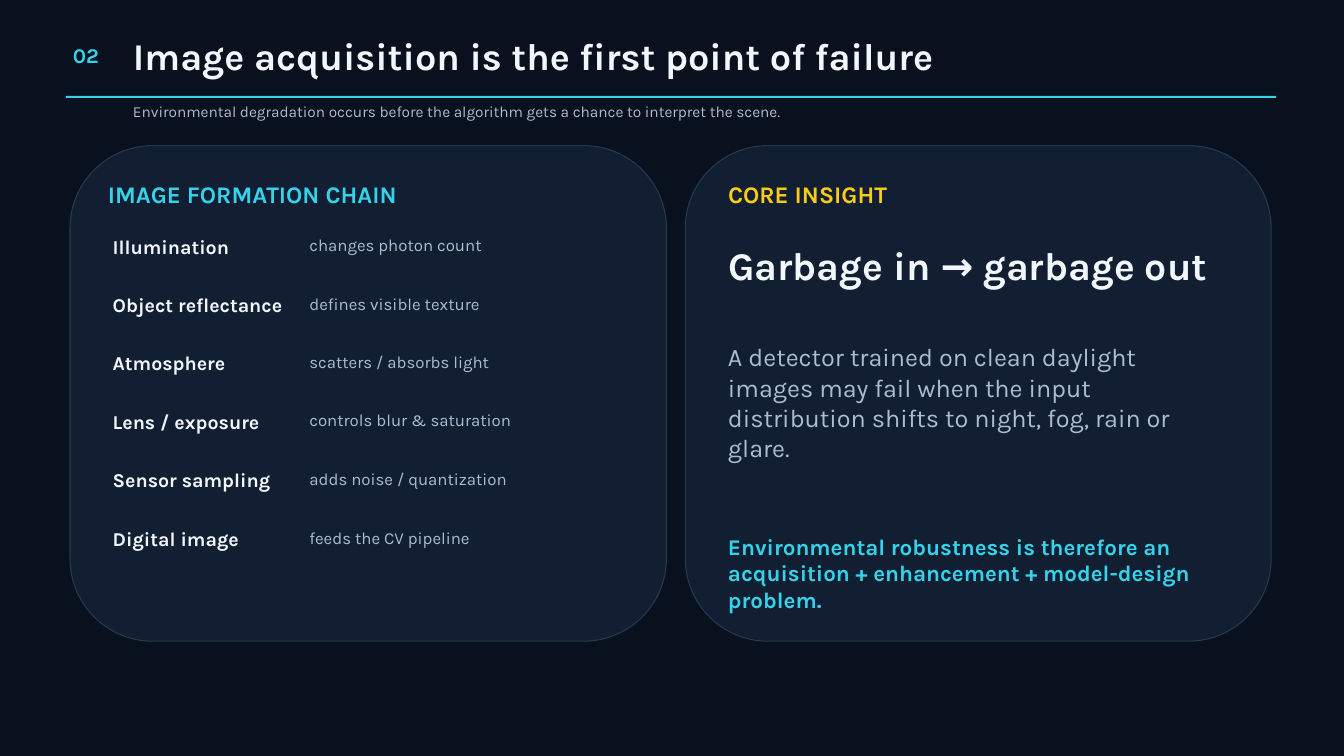
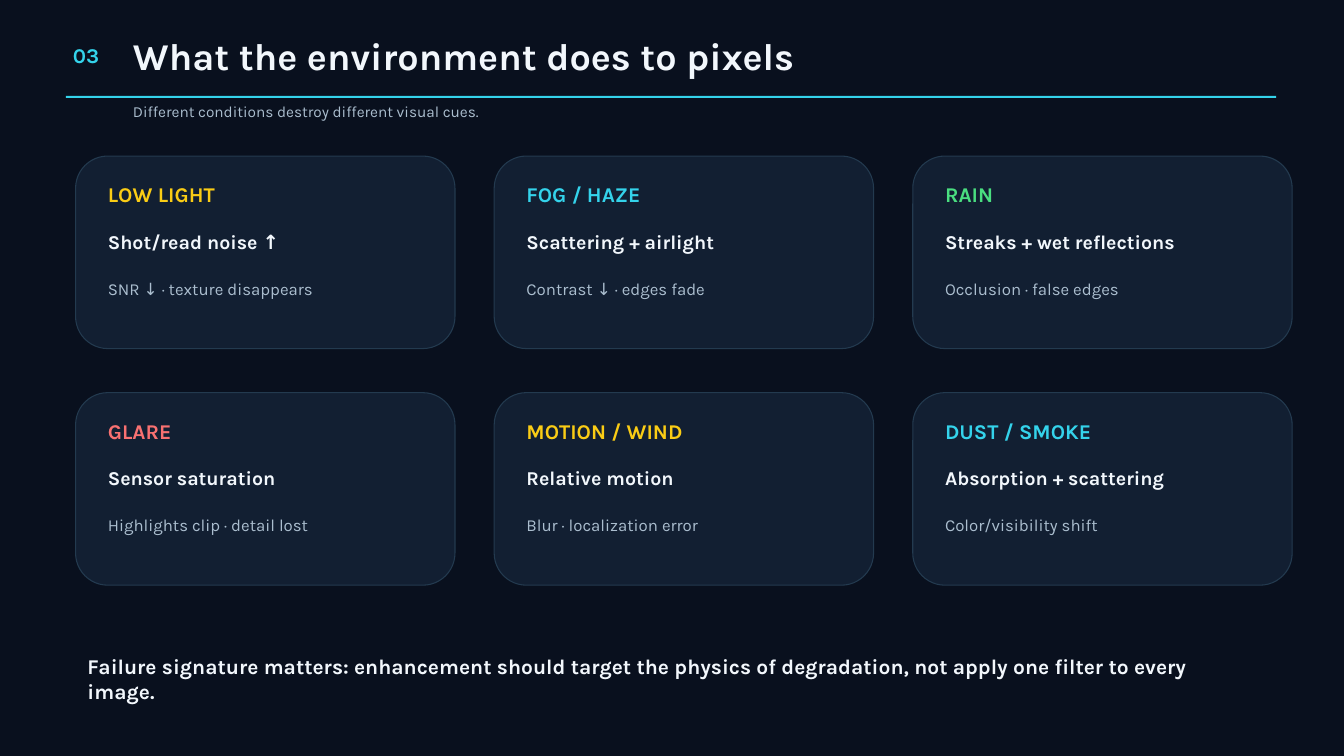
from pptx import Presentation
from pptx.dml.color import RGBColor
from pptx.enum.shapes import MSO_SHAPE
from pptx.enum.text import MSO_ANCHOR, MSO_AUTO_SIZE, PP_ALIGN
from pptx.util import Emu, Pt

EMU_PER_PX = 9525
TITLE_ONLY = 5
FONT = "Karla"
LINE_SPACING = 1.2

NIGHT, PANEL, EDGE = "09101E", "121F32", "233A4F"
WHITE, GREY, CYAN = "F2F7FC", "ABBECF", "34D3EB"
YELLOW, GREEN, RED = "FACC15", "4ADE80", "F87171"

FRAME_FORMAT = {
    "margin_left": 0, "margin_top": 0, "margin_right": 0, "margin_bottom": 0,
    "word_wrap": True,
    "vertical_anchor": MSO_ANCHOR.TOP,
    "auto_size": MSO_AUTO_SIZE.SHAPE_TO_FIT_TEXT,
}

FORMATION_CHAIN = [
    ("Illumination", "changes photon count"),
    ("Object reflectance", "defines visible texture"),
    ("Atmosphere", "scatters / absorbs light"),
    ("Lens / exposure", "controls blur & saturation"),
    ("Sensor sampling", "adds noise / quantization"),
    ("Digital image", "feeds the CV pipeline"),
]

CONDITIONS = [
    ("LOW LIGHT", YELLOW, "Shot/read noise ↑", "SNR ↓ · texture disappears"),
    ("FOG / HAZE", CYAN, "Scattering + airlight", "Contrast ↓ · edges fade"),
    ("RAIN", GREEN, "Streaks + wet reflections", "Occlusion · false edges"),
    ("GLARE", RED, "Sensor saturation", "Highlights clip · detail lost"),
    ("MOTION / WIND", YELLOW, "Relative motion", "Blur · localization error"),
    ("DUST / SMOKE", CYAN, "Absorption + scattering", "Color/visibility shift"),
]


def px(length):
    return Emu(length * EMU_PER_PX)


def rgb(color):
    return RGBColor.from_string(color)


def set_attributes(target, values):
    for name, value in values.items():
        setattr(target, name, value)


class Deck:
    """Holds the shared style and the slide being built."""

    def __init__(self):
        self.presentation = Presentation()
        self.presentation.slide_width = px(1920)
        self.presentation.slide_height = px(1080)
        background = self.presentation.slide_master.background.fill
        background.solid()
        background.fore_color.rgb = rgb(NIGHT)
        self.slide = None

    def new_slide(self, number, title, subtitle):
        layout = self.presentation.slide_layouts[TITLE_ONLY]
        self.slide = self.presentation.slides.add_slide(layout)
        title_shape = self.slide.shapes.title
        box = {"left": 190, "top": 46, "width": 1623, "height": 69}
        set_attributes(title_shape, {side: px(length) for side, length in box.items()})
        self.set_text(title_shape, title, 40.5, WHITE, True)
        self.text(number, 104, 60, 125, 41, 22.5, CYAN, True)
        self.block(MSO_SHAPE.RECTANGLE, 94, 137, 1729, 3, CYAN)
        self.text(subtitle, 190, 146, 1595, 48, 16.5, GREY)

    def set_text(self, shape, words, size, color, bold):
        """Fill a shape with one formatted paragraph."""
        frame = shape.text_frame
        frame.text = words
        set_attributes(frame, FRAME_FORMAT)
        paragraph = frame.paragraphs[0]
        set_attributes(paragraph, {
            "alignment": PP_ALIGN.LEFT,
            "line_spacing": Pt(size * LINE_SPACING),
        })
        font = paragraph.runs[0].font
        set_attributes(font, {"name": FONT, "size": Pt(size), "bold": bold})
        font.color.rgb = rgb(color)

    def text(self, words, left, top, width, height, size, color, bold=False):
        box = self.slide.shapes.add_textbox(*map(px, (left, top, width, height)))
        self.set_text(box, words, size, color, bold)

    def block(self, kind, left, top, width, height, color, edge=None):
        shape = self.slide.shapes.add_shape(kind, *map(px, (left, top, width, height)))
        shape.shadow.inherit = False
        shape.fill.solid()
        shape.fill.fore_color.rgb = rgb(color)
        if edge:
            shape.line.color.rgb = rgb(edge)
            shape.line.width = Pt(1.13)
        else:
            shape.line.fill.background()

    def card(self, left, top, width, height):
        self.block(MSO_SHAPE.ROUNDED_RECTANGLE, left, top, width, height, PANEL, EDGE)


def build_acquisition(deck):
    deck.new_slide(
        "02", "Image acquisition is the first point of failure",
        "Environmental degradation occurs before the algorithm gets a chance "
        "to interpret the scene.")

    deck.card(100, 208, 852, 708)
    deck.text("IMAGE FORMATION CHAIN", 154, 257, 731, 41, 25.5, CYAN, True)
    for index, (stage, effect) in enumerate(FORMATION_CHAIN):
        top = 335 + 418 * index // 5
        deck.text(stage, 161, top, 298, 35, 21, WHITE, True)
        deck.text(effect, 442, top + 1, 384, 34, 18, GREY)

    deck.card(979, 208, 837, 708)
    deck.text("CORE INSIGHT", 1040, 257, 687, 41, 25.5, YELLOW, True)
    deck.text("Garbage in → garbage out", 1040, 344, 687, 134, 42, WHITE, True)
    deck.text("A detector trained on clean daylight images may fail when the input "
              "distribution shifts to night, fog, rain or glare.",
              1040, 488, 673, 200, 27, GREY)
    deck.text("Environmental robustness is therefore an acquisition + enhancement "
              "+ model-design problem.", 1040, 761, 673, 91, 24, CYAN, True)


def build_conditions(deck):
    deck.new_slide("03", "What the environment does to pixels",
                   "Different conditions destroy different visual cues.")
    for index, (condition, color, cause, effect) in enumerate(CONDITIONS):
        row, column = divmod(index, 3)
        left, top = 108 + 598 * column, 223 + 338 * row
        deck.card(left, top, 542, 275)
        deck.text(condition, left + 46, top + 37, 442, 34, 22.5, color, True)
        deck.text(cause, left + 46, top + 105, 442, 42, 21, WHITE, True)
        deck.text(effect, left + 46, top + 175, 442, 48, 18, GREY)
    deck.text("Failure signature matters: enhancement should target the physics of "
              "degradation, not apply one filter to every image.",
              125, 934, 1667, 56, 22.5, WHITE, True)


def main():
    deck = Deck()
    build_acquisition(deck)
    build_conditions(deck)
    deck.presentation.save("out.pptx")


if __name__ == "__main__":
    main()
